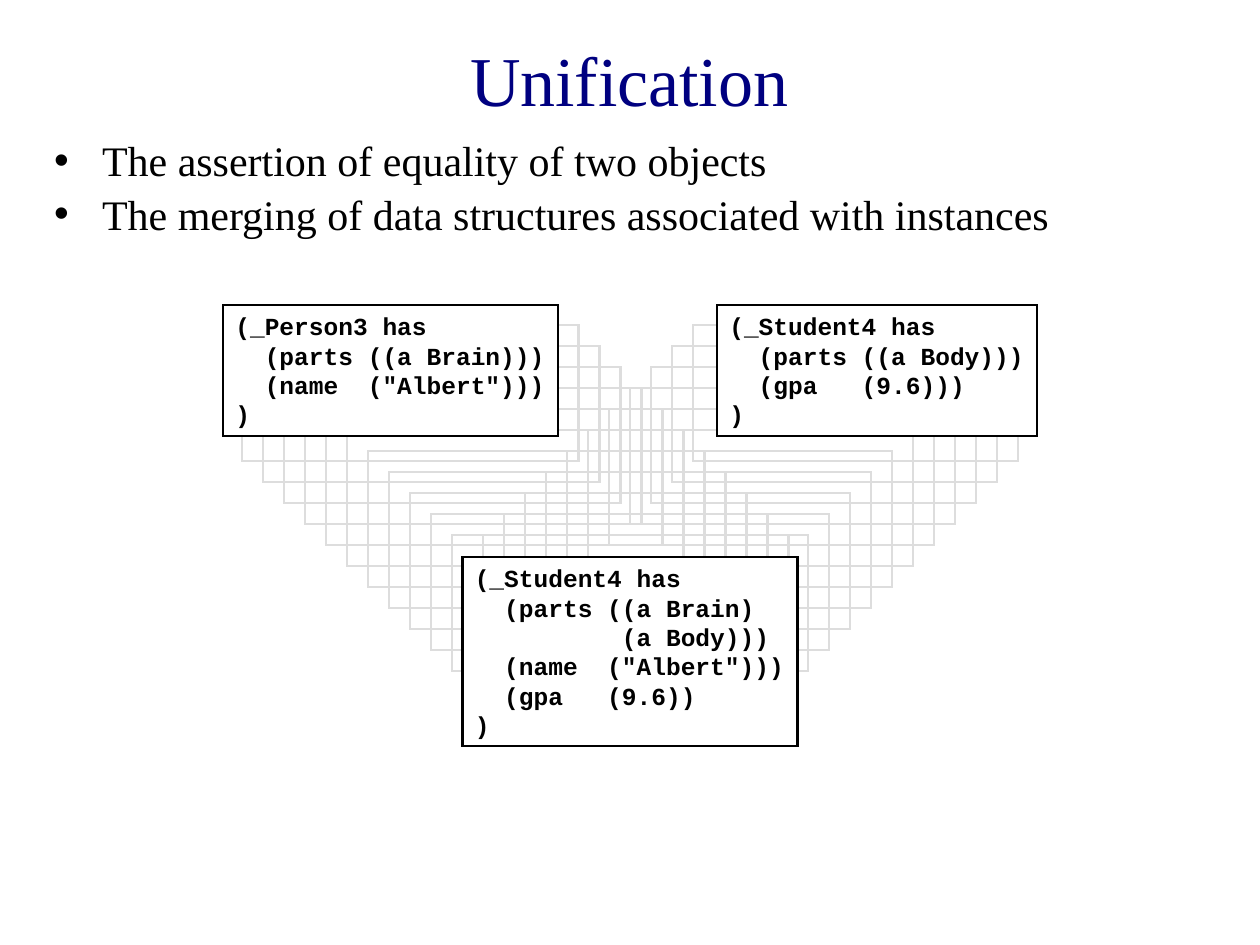
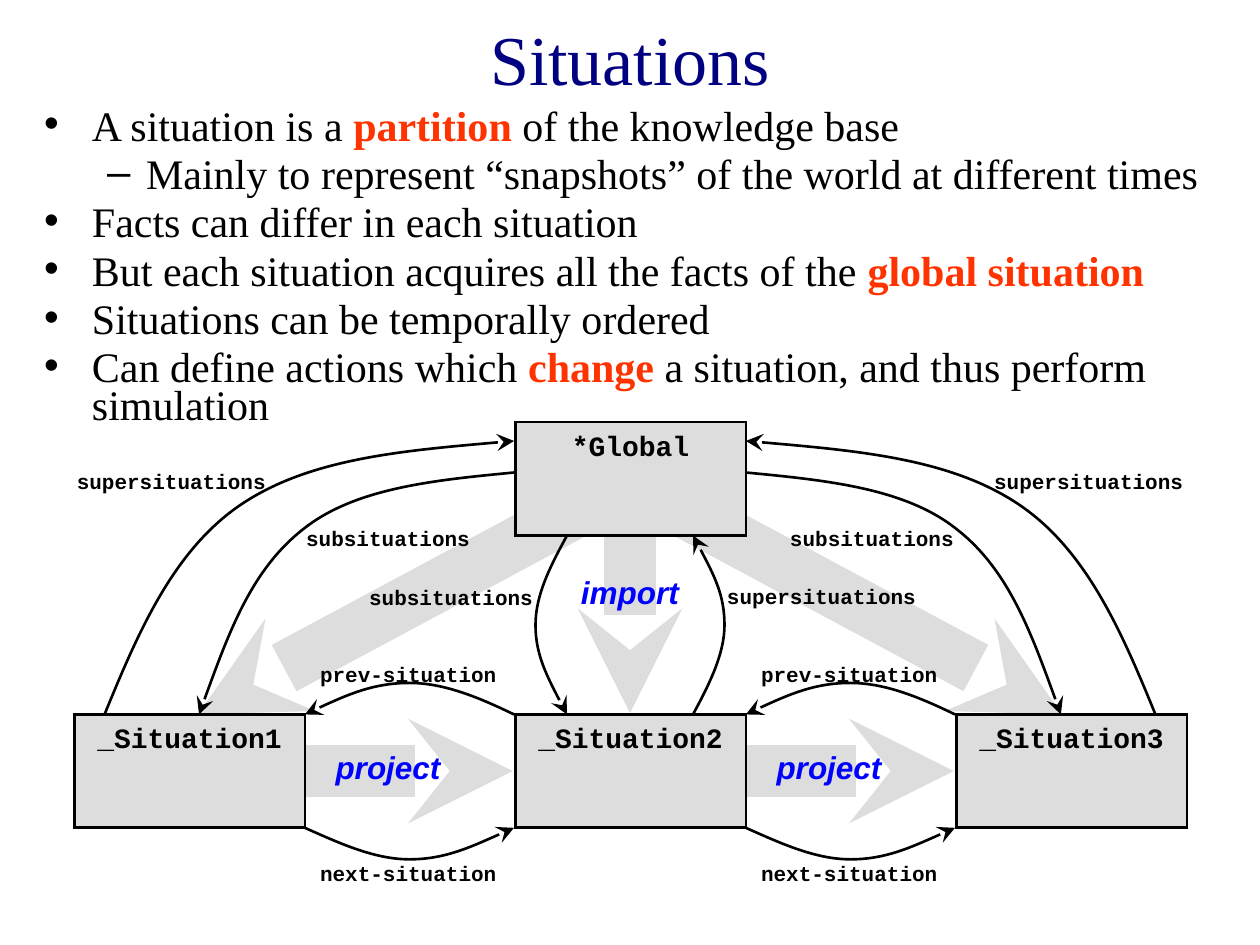
from lxml import etree
from pptx import Presentation
from pptx.dml.color import RGBColor
from pptx.enum import shapes, text
from pptx.oxml.ns import qn
from pptx.util import Inches, Pt

NAVY = RGBColor(0x00, 0x00, 0x80)
BLACK = RGBColor(0x00, 0x00, 0x00)
WHITE = RGBColor(0xFF, 0xFF, 0xFF)
GREY = RGBColor(0xDD, 0xDD, 0xDD)
RED = RGBColor(0xFF, 0x33, 0x00)
BLUE = RGBColor(0x00, 0x00, 0xFF)

SERIF, MONO, SANS = "Times New Roman", "Courier New", "Arial"
BULLETS = [("•", 0.38, 0.38), ("–", 0.81, 0.31)]  # mark, left margin, hang


class Deck:
    def __init__(self):
        self.prs = Presentation()
        self.prs.slide_width, self.prs.slide_height = Inches(10), Inches(7.5)
        self.slide = None

    def new_slide(self):
        self.slide = self.prs.slides.add_slide(self.prs.slide_layouts[1])

    def place(self, sp, left, top, width, height):
        sp.left, sp.top = Inches(left), Inches(top)
        sp.width, sp.height = Inches(width), Inches(height)
        sp.text_frame.auto_size = text.MSO_AUTO_SIZE.NONE
        return sp.text_frame

    def run(self, p, words, font, size, color=BLACK, bold=False, italic=False):
        r = p.add_run()
        r.text = words
        f = r.font
        f.name, f.size, f.bold, f.italic = font, Pt(size), bold, italic
        f.color.rgb = color

    def title(self, words, *box):
        tf = self.place(self.slide.shapes.title, *box)
        tf.vertical_anchor = text.MSO_ANCHOR.MIDDLE
        p = tf.paragraphs[0]
        p.alignment = text.PP_ALIGN.CENTER
        self.run(p, words, SERIF, 40, NAVY)

    def bullets(self, items, spacing, *box):
        """Each item is (level, runs); every second run is emphasised."""
        tf = self.place(self.slide.placeholders[1], *box)
        for i, (level, runs) in enumerate(items):
            p = tf.paragraphs[0] if i == 0 else tf.add_paragraph()
            mark, margin, hang = BULLETS[level]
            pPr = p._p.get_or_add_pPr()
            pPr.set("marL", str(Inches(margin)))
            pPr.set("indent", str(-Inches(hang)))
            clr = etree.SubElement(pPr, qn("a:buClr"))
            etree.SubElement(clr, qn("a:srgbClr")).set("val", str(BLACK))
            etree.SubElement(pPr, qn("a:buChar")).set("char", mark)
            p.level = level
            p.line_spacing = spacing
            p.space_before = Pt(6 if i else 0)
            for j, words in enumerate(runs):
                strong = j % 2 == 1
                self.run(p, words, SERIF, 24, RED if strong else BLACK, strong)

    def rect(self, left, top, width, height, line=BLACK, fill=None):
        sp = self.slide.shapes.add_shape(
            shapes.MSO_SHAPE.RECTANGLE,
            Inches(left), Inches(top), Inches(width), Inches(height))
        sp.shadow.inherit = False
        if fill is None:
            sp.fill.background()
        else:
            sp.fill.solid()
            sp.fill.fore_color.rgb = fill
        sp.line.color.rgb, sp.line.width = line, Pt(1.5)
        miter = etree.SubElement(sp.line._get_or_add_ln(), qn("a:miter"))
        miter.set("lim", "800000")
        sp.text_frame.vertical_anchor = text.MSO_ANCHOR.TOP
        return sp

    def code_box(self, lines, *box):
        tf = self.rect(*box, fill=WHITE).text_frame
        tf.word_wrap = False
        tf.auto_size = text.MSO_AUTO_SIZE.SHAPE_TO_FIT_TEXT
        for i, line in enumerate(lines):
            p = tf.paragraphs[0] if i == 0 else tf.add_paragraph()
            p.alignment = text.PP_ALIGN.LEFT
            self.run(p, line, MONO, 14, bold=True)

    def node(self, name, left, top):
        p = self.rect(left, top, 1.83, 0.9, fill=GREY).text_frame.paragraphs[0]
        p.alignment = text.PP_ALIGN.CENTER
        self.run(p, name, MONO, 16, bold=True)

    def label(self, words, center, top, big=False):
        width, height = (1.3, 0.4) if big else (1.8, 0.3)
        sp = self.slide.shapes.add_textbox(
            Inches(center - width / 2), Inches(top), Inches(width), Inches(height))
        tf = sp.text_frame
        tf.word_wrap = False
        tf.auto_size = text.MSO_AUTO_SIZE.SHAPE_TO_FIT_TEXT
        p = tf.paragraphs[0]
        p.alignment = text.PP_ALIGN.CENTER
        if big:
            self.run(p, words, SANS, 18, BLUE, bold=True, italic=True)
        else:
            self.run(p, words, MONO, 12, bold=True)

    def arrow_line(self, sp, color, width, head):
        sp.line.color.rgb, sp.line.width = color, Pt(width)
        tail = etree.SubElement(sp.line._get_or_add_ln(), qn("a:tailEnd"))
        tail.set("type", "stealth")
        tail.set("w", head)
        tail.set("len", head)

    def thick_arrow(self, x1, y1, x2, y2):
        cn = self.slide.shapes.add_connector(
            shapes.MSO_CONNECTOR.STRAIGHT,
            Inches(x1), Inches(y1), Inches(x2), Inches(y2))
        self.arrow_line(cn, GREY, 30, "sm")
        etree.SubElement(cn._element.spPr, qn("a:effectLst"))

    def curve(self, points):
        """Bezier arrow: a start, then two controls and an end per segment."""
        pts = [(Inches(x), Inches(y)) for x, y in points]
        fb = self.slide.shapes.build_freeform(*pts[0])
        fb.add_line_segments(pts[1:], close=False)
        sp = fb.convert_to_shape()
        sp.shadow.inherit = False
        sp.fill.background()
        self.arrow_line(sp, BLACK, 1.5, "lg")
        path = next(sp._element.iter(qn("a:path")))
        steps = path.findall(qn("a:lnTo"))
        for i in range(0, len(steps), 3):
            bezier = etree.SubElement(path, qn("a:cubicBezTo"))
            for step in steps[i:i + 3]:
                bezier.append(step[0])
                path.remove(step)


def mirror(points):
    return [(10 - x, y) for x, y in points]


def shift(points, dx):
    return [(x + dx, y) for x, y in points]


def unification(d):
    d.new_slide()
    d.title("Unification", 0.33, 0, 9.33, 1.25)
    d.bullets([
        (0, ["The assertion of equality of two objects"]),
        (0, ["The merging of data structures associated with instances"]),
    ], 0.85, 0.33, 1.08, 9.08, 2.58)

    # Trails of the two instances moving together
    for i in range(11):
        step = i / 6
        d.rect(5.5 - step, 2.58 + step, 2.58, 1.08, line=GREY)
        d.rect(1.92 + step, 2.58 + step, 2.67, 1.08, line=GREY)

    # The instances and their unification
    d.code_box(["(_Person3 has", "  (parts ((a Brain)))",
                '  (name  ("Albert")))', ")"], 1.77, 2.42, 2.66, 1.04)
    d.code_box(["(_Student4 has", "  (parts ((a Body)))",
                "  (gpa   (9.6)))", ")"], 5.69, 2.42, 2.54, 1.04)
    d.code_box(["(_Student4 has", "  (parts ((a Brain)", "          (a Body)))",
                '  (name  ("Albert")))', "  (gpa   (9.6))", ")"],
               3.67, 4.42, 2.66, 1.5)


def situations(d):
    d.new_slide()
    d.title("Situations", 0.75, -0.17, 8.5, 1.25)
    d.bullets([
        (0, ["A situation is a ", "partition ", "of the knowledge base"]),
        (1, ["Mainly to represent “snapshots” of the world at different times"]),
        (0, ["Facts can differ in each situation"]),
        (0, ["But each situation acquires all the facts of the ",
             "global situation"]),
        (0, ["Situations can be temporally ordered"]),
        (0, ["Can define actions which ", "change",
             " a situation, and thus perform simulation"]),
    ], 0.75, 0.25, 0.83, 9.5, 3)

    # Import arrows, behind the nodes
    d.thick_arrow(5, 3.83, 8.43, 5.67)
    d.thick_arrow(5, 3.83, 1.57, 5.67)
    d.thick_arrow(5, 4.26, 5, 5.66)

    # Nodes
    pitch = 3.5
    d.node("*Global", 4.09, 3.35)
    for i in range(3):
        d.node(f"_Situation{i + 1}", 0.59 + i * pitch, 5.67)

    # Links between neighbouring situations
    prev_link = [(4.08, 5.67), (3.81, 5.54), (3.53, 5.42), (3.25, 5.42),
                 (2.97, 5.42), (2.69, 5.54), (2.42, 5.67)]
    next_link = [(2.42, 6.57), (2.69, 6.69), (2.97, 6.82), (3.25, 6.82),
                 (3.53, 6.82), (3.81, 6.69), (4.08, 6.57)]
    for dx in (0, pitch):
        d.curve(shift(prev_link, dx))
        d.curve(shift(next_link, dx))
        d.thick_arrow(2.43 + dx, 6.12, 4.07 + dx, 6.12)
        d.label("prev-situation", 3.24 + dx, 5.2)
        d.label("next-situation", 3.24 + dx, 6.78)
        d.label("project", 3.08 + dx, 5.89, big=True)

    # Links between the outer situations and the global one
    super_link = [(0.83, 5.67), (1.1, 5.01), (1.38, 4.36), (1.92, 4),
                  (2.46, 3.64), (3.27, 3.57), (4.08, 3.5)]
    sub_link = [(4.08, 3.75), (3.46, 3.81), (2.83, 3.87), (2.42, 4.19),
                (2, 4.51), (1.79, 5.09), (1.58, 5.67)]
    for link in (super_link, sub_link):
        d.curve(link)
        d.curve(mirror(link))
    for words, center, top in (("supersituations", 1.36, 3.67),
                               ("subsituations", 3.08, 4.12)):
        d.label(words, center, top)
        d.label(words, 10 - center, top)

    # Links between the middle situation and the global one
    inner_link = [(4.5, 4.25), (4.37, 4.49), (4.25, 4.72), (4.25, 4.96),
                  (4.25, 5.19), (4.37, 5.43), (4.5, 5.67)]
    d.curve(inner_link)
    d.curve(mirror(inner_link[::-1]))
    d.label("subsituations", 3.58, 4.59)
    d.label("supersituations", 6.52, 4.58)
    d.label("import", 5, 4.5, big=True)


def main():
    d = Deck()
    unification(d)
    situations(d)
    d.prs.save("out.pptx")


if __name__ == "__main__":
    main()
